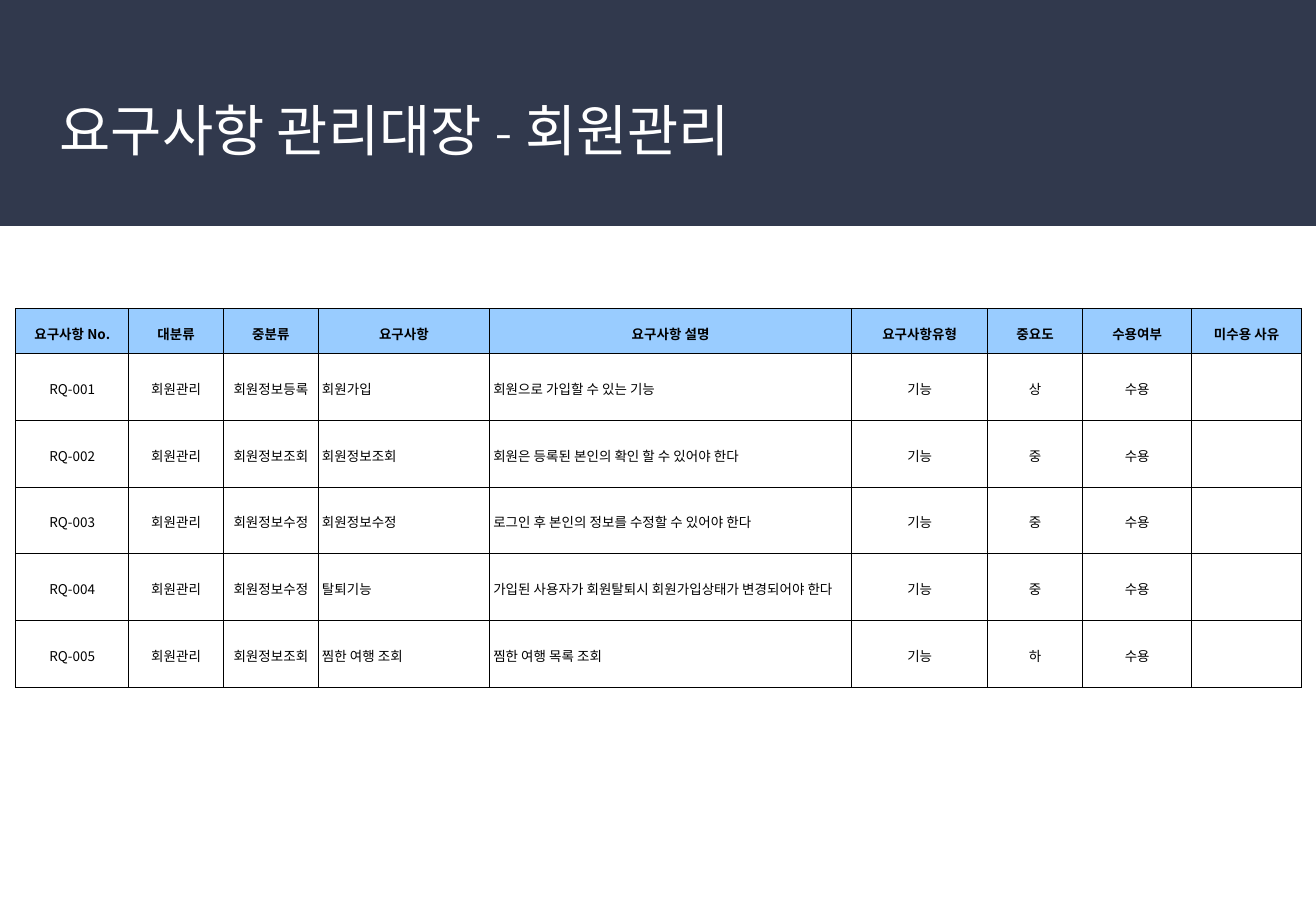
from lxml.etree import SubElement
from pptx import Presentation
from pptx.dml.color import RGBColor
from pptx.enum.shapes import MSO_SHAPE
from pptx.enum.text import MSO_ANCHOR, PP_ALIGN
from pptx.oxml.ns import qn
from pptx.util import Inches, Pt

SANS = "Noto Sans CJK KR"
COLUMN_WIDTHS = [0.93, 0.78, 0.78, 1.41, 2.98, 1.12, 0.78, 0.9, 0.9]
HEADER_HEIGHT, ROW_HEIGHT = 0.37, 0.55
LEFT_COLUMNS = (3, 4)
CALIBRI_COLUMNS = (5, 6)
HEADERS = ["요구사항 No.", "대분류", "중분류", "요구사항", "요구사항 설명",
           "요구사항유형", "중요도", "수용여부", "미수용 사유"]
# Middle category, requirement, description, priority
REQUIREMENTS = [
    ("회원정보등록", "회원가입", "회원으로 가입할 수 있는 기능", "상"),
    ("회원정보조회", "회원정보조회", "회원은 등록된 본인의 확인 할 수 있어야 한다", "중"),
    ("회원정보수정", "회원정보수정", "로그인 후 본인의 정보를 수정할 수 있어야 한다", "중"),
    ("회원정보수정", "탈퇴기능", "가입된 사용자가 회원탈퇴시 회원가입상태가 변경되어야 한다", "중"),
    ("회원정보조회", "찜한 여행 조회", "찜한 여행 목록 조회", "하"),
]


def rgb(color):
    return RGBColor.from_string(color)


def set_font(p, name, size, color, bold=False):
    p.font.name = name
    p.font.size = Pt(size)
    p.font.bold = bold
    p.font.color.rgb = rgb(color)


def add_band(slide, width, height, color):
    sp = slide.shapes.add_shape(MSO_SHAPE.RECTANGLE, 0, 0, width, height)
    sp.shadow.inherit = False
    sp.fill.solid()
    sp.fill.fore_color.rgb = rgb(color)
    sp.line.fill.background()


def add_title(slide, text):
    sp = slide.shapes.add_textbox(Inches(0.37), Inches(0.73),
                                  Inches(10.09), Inches(0.91))
    tf = sp.text_frame
    tf.word_wrap = True
    tf.margin_left = tf.margin_right = Inches(0.12)
    tf.margin_top = tf.margin_bottom = Inches(0.12)
    p = tf.paragraphs[0]
    p.text = text
    p.line_spacing = 0.9
    set_font(p, "Cambria", 33, "FFFFFF")


def set_borders(cell, color, width):
    tc_pr = cell._tc.get_or_add_tcPr()
    for side in ("a:lnL", "a:lnR", "a:lnT", "a:lnB"):
        ln = SubElement(tc_pr, qn(side), w=str(Pt(width)))
        fill = SubElement(ln, qn("a:solidFill"))
        SubElement(fill, qn("a:srgbClr"), val=color)


def fill_cell(cell, text, font, align, header):
    set_borders(cell, "000000", 0.75)
    if header:
        cell.fill.solid()
        cell.fill.fore_color.rgb = rgb("99CCFF")
    else:
        cell.fill.background()
    cell.vertical_anchor = MSO_ANCHOR.MIDDLE
    cell.margin_left = cell.margin_right = Inches(0.03)
    cell.margin_top = cell.margin_bottom = Inches(0.1)
    p = cell.text_frame.paragraphs[0]
    p.text = text
    p.alignment = align
    p.line_spacing = 1.15
    set_font(p, font, 8, "000000", header)


def add_requirements_table(slide):
    rows = [HEADERS] + [
        [f"RQ-{number:03}", "회원관리", category, name, description,
         "기능", priority, "수용", ""]
        for number, (category, name, description, priority)
        in enumerate(REQUIREMENTS, 1)
    ]
    heights = [HEADER_HEIGHT] + [ROW_HEIGHT] * len(REQUIREMENTS)
    table = slide.shapes.add_table(
        len(rows), len(HEADERS), Inches(0.13), Inches(2.54),
        Inches(sum(COLUMN_WIDTHS)), Inches(sum(heights))).table
    table.horz_banding = False
    for column, width in zip(table.columns, COLUMN_WIDTHS):
        column.width = Inches(width)
    for row, height in zip(table.rows, heights):
        row.height = Inches(height)
    for r, texts in enumerate(rows):
        header = r == 0
        for c, text in enumerate(texts):
            left = c in LEFT_COLUMNS and not header
            calibri = c in CALIBRI_COLUMNS and not header
            fill_cell(table.cell(r, c), text, "Calibri" if calibri else SANS,
                      PP_ALIGN.LEFT if left else PP_ALIGN.CENTER, header)


def main():
    prs = Presentation()
    prs.slide_width, prs.slide_height = Inches(10.83), Inches(7.5)
    slide = prs.slides.add_slide(prs.slide_layouts[6])
    add_band(slide, prs.slide_width, Inches(1.86), "31394D")
    add_title(slide, "요구사항 관리대장 - 회원관리")
    add_requirements_table(slide)
    prs.save("out.pptx")


if __name__ == "__main__":
    main()
